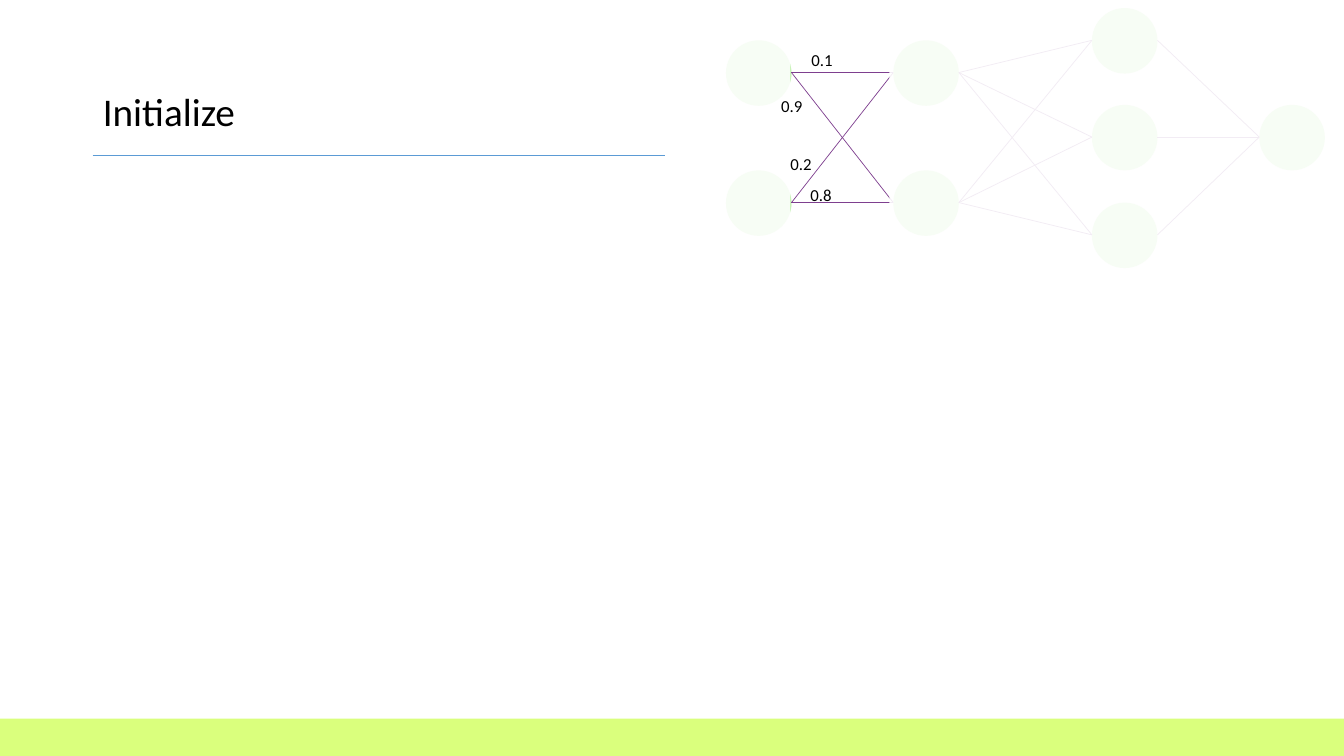
from itertools import pairwise, product

from pptx import Presentation
from pptx.dml.color import RGBColor
from pptx.enum.shapes import MSO_CONNECTOR as Link, MSO_SHAPE as Preset
from pptx.enum.text import MSO_ANCHOR as Anchor, MSO_AUTO_SIZE as Fit, PP_ALIGN as Align
from pptx.oxml.ns import qn
from pptx.util import Pt
from lxml.etree import SubElement

PX = 9144
WIDTH, HEIGHT = 1333, 750
COLORS = {
    "node": "B2EF9B",
    "edge": "7E3F8F",
    "rule": "5B9BD5",
    "veil": "FFFFFF",
    "band": "DAFF7D",
    "text": "000000",
}
NODE = 65
LAYERS = [
    (720, (40, 169)),
    (886, (40, 169)),
    (1083, (8, 104, 201)),
    (1249, (104,)),
]
VEILS = [(709, 9, 75, 294), (882, 5, 441, 294)]
WEIGHTS = [("0.1", 795, 44), ("0.2", 774, 148), ("0.9", 765, 90), ("0.8", 794, 178)]


def write(frame, text, size=12, font="Calibri", color="text", align=Align.LEFT, spacing=1.0):
    paragraph = frame.paragraphs[0]
    paragraph.alignment = align
    paragraph.line_spacing = spacing
    run = paragraph.add_run()
    run.text = text
    run.font.name = font
    run.font.size = Pt(size)
    run.font.color.rgb = RGBColor.from_string(COLORS[color])


class Board:
    def __init__(self, slide):
        self.slide = slide

    def box(self, *lengths):
        return [length * PX for length in lengths]

    def title(self, text, *place):
        heading = self.slide.shapes.title
        heading.left, heading.top, heading.width, heading.height = self.box(*place)
        heading.text_frame.vertical_anchor = Anchor.MIDDLE
        write(heading.text_frame, text, size=28, spacing=0.9)

    def shape(self, preset, color, *place, opacity=100, parent=None):
        shapes = (parent or self.slide).shapes
        area = shapes.add_shape(preset, *self.box(*place))
        area.shadow.inherit = False
        area.fill.solid()
        area.fill.fore_color.rgb = RGBColor.from_string(COLORS[color])
        area.line.fill.background()
        if opacity < 100:
            tint = area.fill._xPr.find(qn("a:solidFill"))[0]
            SubElement(tint, qn("a:alpha")).set("val", str(opacity * 1000))

    def line(self, color, *ends, parent=None):
        shapes = (parent or self.slide).shapes
        stroke = shapes.add_connector(Link.STRAIGHT, *self.box(*ends))
        stroke.line.color.rgb = RGBColor.from_string(COLORS[color])
        stroke.line.width = Pt(0.5)
        SubElement(stroke._element.spPr, qn("a:effectLst"))

    def label(self, text, left, top):
        frame = self.slide.shapes.add_textbox(*self.box(left, top, 42, 30)).text_frame
        frame.word_wrap = False
        frame.auto_size = Fit.SHAPE_TO_FIT_TEXT
        write(frame, text)

    def network(self, layers):
        group = self.slide.shapes.add_group_shape()
        for left, tops in layers:
            for top in tops:
                self.shape(Preset.OVAL, "node", left, top, NODE, NODE, parent=group)
        for (left, starts), (right, stops) in pairwise(layers):
            for start, stop in product(starts, stops):
                self.line("edge", left + NODE, start + NODE // 2,
                          right, stop + NODE // 2, parent=group)


def main():
    deck = Presentation()
    deck.slide_width, deck.slide_height = WIDTH * PX, HEIGHT * PX
    board = Board(deck.slides.add_slide(deck.slide_layouts[5]))
    board.network(LAYERS)
    board.title("Initialize", 92, 40, 1150, 145)
    board.line("rule", 92, 154, 660, 154)
    for veil in VEILS:
        board.shape(Preset.RECTANGLE, "veil", *veil, opacity=90)
    for weight in WEIGHTS:
        board.label(*weight)
    board.shape(Preset.RECTANGLE, "band", 0, 713, WIDTH, HEIGHT - 713)
    deck.save("out.pptx")


if __name__ == "__main__":
    main()
